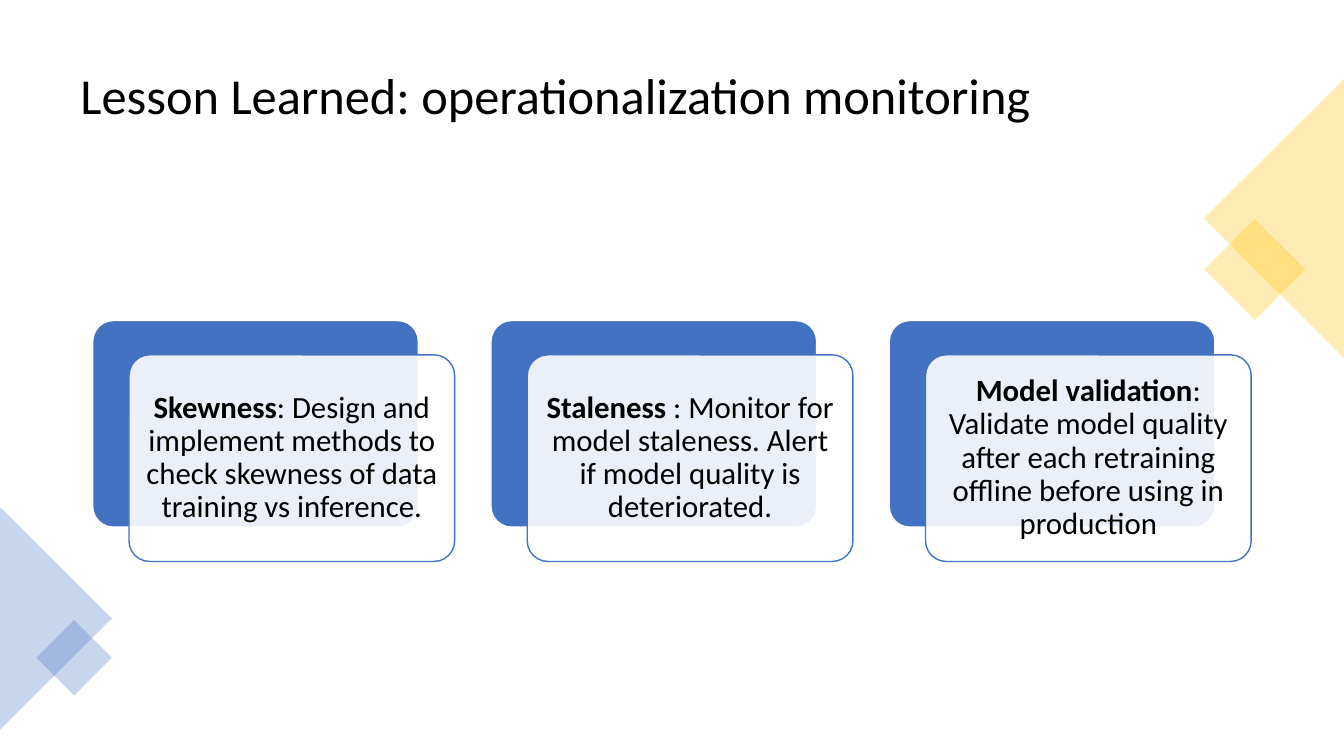
from lxml import etree
from pptx import Presentation
from pptx.dml.color import RGBColor
from pptx.enum.shapes import MSO_SHAPE as SHAPE
from pptx.enum.text import MSO_ANCHOR as ANCHOR, PP_ALIGN as ALIGN
from pptx.oxml.ns import qn
from pptx.util import Inches, Pt

BLACK = RGBColor(0x00, 0x00, 0x00)
WHITE = RGBColor(0xFF, 0xFF, 0xFF)
GOLD = RGBColor(0xFF, 0xC0, 0x00)
BLUE = RGBColor(0x44, 0x72, 0xC4)
CARD_BLUE = RGBColor(0x43, 0x72, 0xC3)

prs = Presentation()
prs.slide_width, prs.slide_height = Inches(13.33), Inches(7.5)
slide = prs.slides.add_slide(prs.slide_layouts[6])


def add_filled(kind, left, top, width, height, color, opacity=100):
    """Add a shape without shadow; opacity is in percent."""
    shape = slide.shapes.add_shape(
        kind, Inches(left), Inches(top), Inches(width), Inches(height))
    shape.shadow.inherit = False
    shape.fill.solid()
    shape.fill.fore_color.rgb = color
    if opacity < 100:
        rgb = shape.fill._xPr.find(qn("a:solidFill"))[0]
        etree.SubElement(rgb, qn("a:alpha"), val=str(opacity * 1000))
    return shape


def style_text(paragraph, size):
    paragraph.line_spacing = 0.9
    paragraph.font.name = "Calibri"
    paragraph.font.size = Pt(size)
    paragraph.font.color.rgb = BLACK


title = slide.shapes.add_textbox(
    Inches(0.7), Inches(0.35), Inches(11.93), Inches(1.24)).text_frame
title.word_wrap = True
title.vertical_anchor = ANCHOR.MIDDLE
title.text = "Lesson Learned: operationalization monitoring"
style_text(title.paragraphs[0], 36)

corner_ornaments = [
    (SHAPE.RECTANGLE, 12.09, 2.32, 0.71, 0.71, 45, GOLD),
    (SHAPE.ISOSCELES_TRIANGLE, 11.25, 1.47, 2.77, 1.39, 270, GOLD),
    (SHAPE.ISOSCELES_TRIANGLE, -0.55, 5.58, 2.21, 1.11, 90, BLUE),
    (SHAPE.RECTANGLE, 0.47, 6.26, 0.53, 0.53, 45, BLUE),
]
for kind, left, top, width, height, rotation, color in corner_ornaments:
    ornament = add_filled(kind, left, top, width, height, color, 29)
    ornament.rotation = rotation
    ornament.line.fill.background()

CARD_LEFT, CARD_TOP, CARD_PITCH = 0.92, 3.18, 3.95
CARD_WIDTH, CARD_HEIGHT = 3.23, 2.05
FRONT_DX, FRONT_DY = 0.36, 0.34

lessons = [
    ("Skewness", ": Design and implement methods to check skewness of data "
                 "training vs inference."),
    ("Staleness ", ": Monitor for model staleness. Alert if model quality is "
                   "deteriorated."),
    ("Model validation", ": Validate model quality after each retraining "
                         "offline before using in production"),
]
for index, (topic, advice) in enumerate(lessons):
    left = CARD_LEFT + index * CARD_PITCH
    back = add_filled(SHAPE.ROUNDED_RECTANGLE, left, CARD_TOP,
                      CARD_WIDTH, CARD_HEIGHT, CARD_BLUE)
    front = add_filled(SHAPE.ROUNDED_RECTANGLE, left + FRONT_DX,
                       CARD_TOP + FRONT_DY, CARD_WIDTH, CARD_HEIGHT, WHITE, 89)
    for card, outline in ((back, WHITE), (front, CARD_BLUE)):
        card.adjustments[0] = 0.1
        card.line.color.rgb = outline
        card.line.width = Pt(1)

    frame = front.text_frame
    frame.word_wrap = True
    frame.vertical_anchor = ANCHOR.MIDDLE
    frame.margin_left = frame.margin_right = Inches(0.09)
    frame.margin_top = frame.margin_bottom = Inches(0.09)
    lesson = frame.paragraphs[0]
    lesson.alignment = ALIGN.CENTER
    style_text(lesson, 22)
    for text, bold in ((topic, True), (advice, False)):
        run = lesson.add_run()
        run.text = text
        run.font.bold = bold

prs.save("out.pptx")
